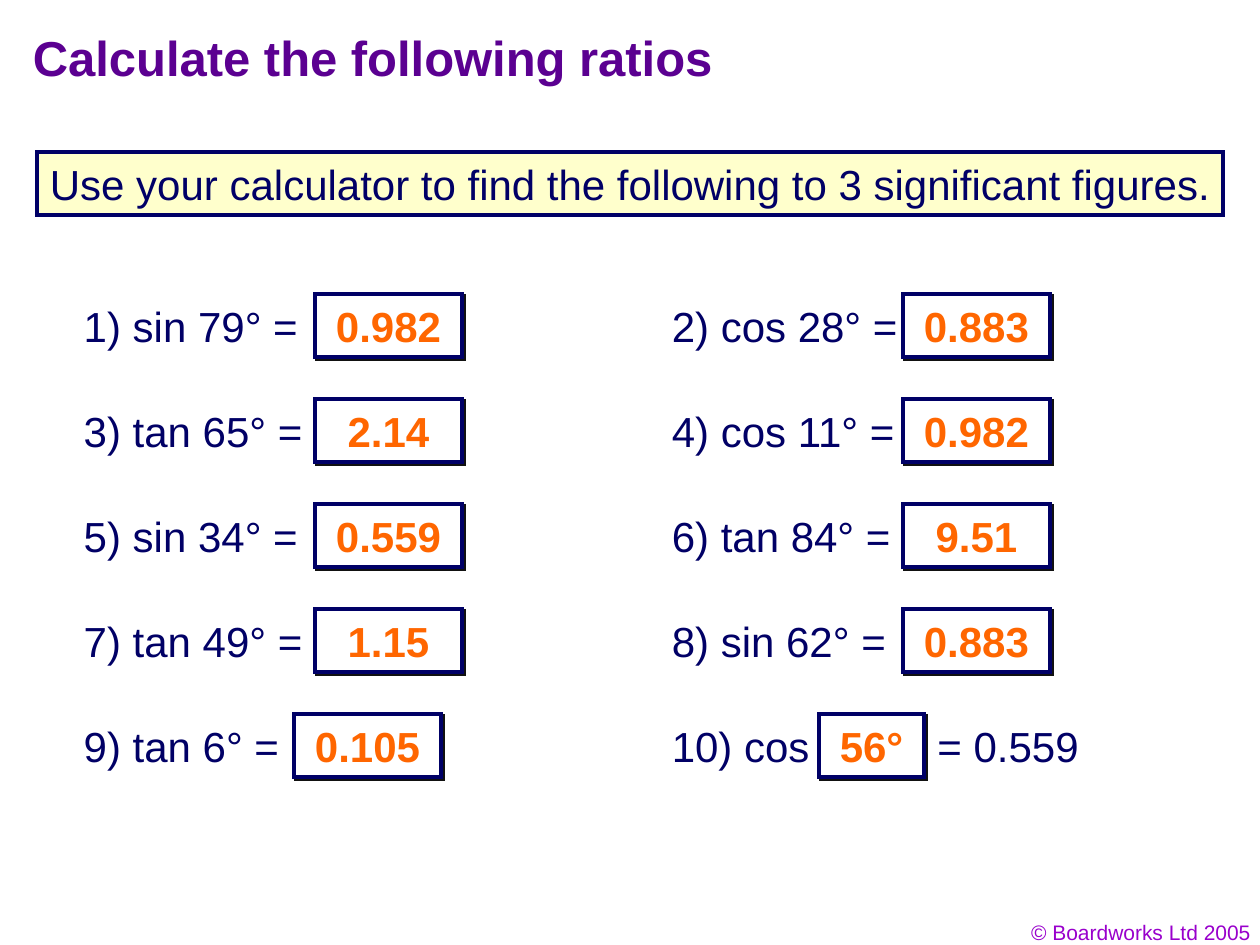
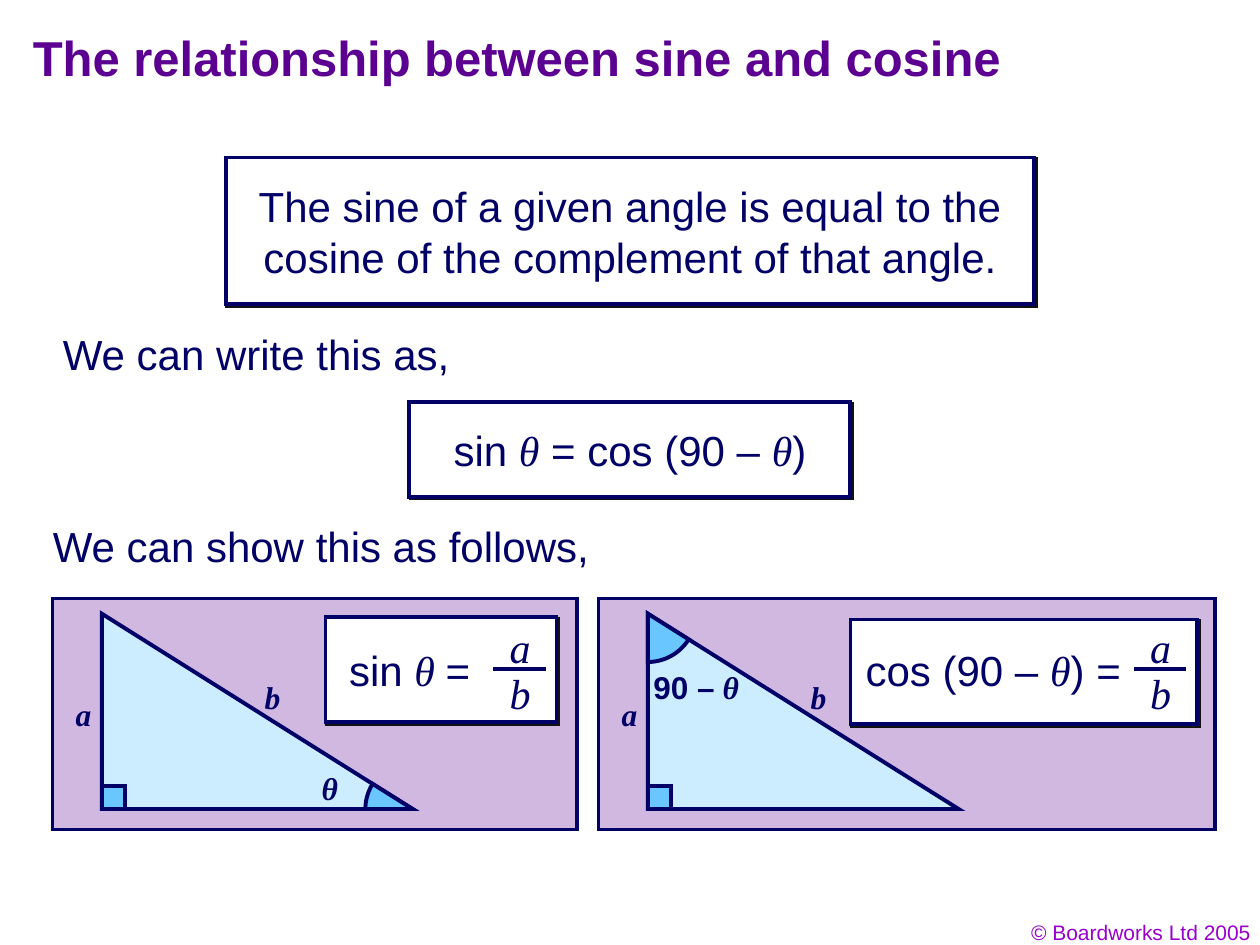
from math import atan2, cos, degrees, radians, sin

from lxml.etree import SubElement
from pptx import Presentation
from pptx.dml.color import RGBColor
from pptx.enum.shapes import MSO_CONNECTOR, MSO_SHAPE
from pptx.enum.text import MSO_ANCHOR, PP_ALIGN
from pptx.oxml.ns import qn
from pptx.util import Inches, Pt

# Shared look
NAVY = RGBColor(0x00, 0x00, 0x66)
INK = RGBColor(0x01, 0x00, 0x66)
PURPLE = RGBColor(0x5B, 0x00, 0x91)
VIOLET = RGBColor(0x99, 0x00, 0xCC)
ORANGE = RGBColor(0xFF, 0x66, 0x00)
WHITE = RGBColor(0xFF, 0xFF, 0xFF)
CREAM = RGBColor(0xFF, 0xFF, 0xCC)
LILAC = RGBColor(0xD0, 0xB8, 0xE0)
PALE_BLUE = RGBColor(0xCC, 0xEC, 0xFF)
SKY = RGBColor(0x69, 0xC6, 0xFF)
SANS, SERIF = "Arial", "Times New Roman"
LINE = Pt(2.25)

# Grid of 120 columns by 90 rows, twelve cells to the inch
COLS, ROWS = 120, 90
CELL = Inches(10) // COLS
TEXT_H = 6  # rows of a one-line text

# Problems in reading order, two to a row
PROBLEMS = [
    ("1) sin 79° =", "0.982"), ("2) cos 28° =", "0.883"),
    ("3) tan 65° =", "2.14"), ("4) cos 11° =", "0.982"),
    ("5) sin 34° =", "0.559"), ("6) tan 84° =", "9.51"),
    ("7) tan 49° =", "1.15"), ("8) sin 62° =", "0.883"),
    ("9) tan 6° =", "0.105"), ("10) cos", "56°"),
]


def cells(*values):
    return [round(v * CELL) for v in values]


def write(tf, content, size=24, color=INK, bold=False, align=PP_ALIGN.LEFT,
          wrap=True):
    """Fill a text frame; parts between asterisks are italic symbols."""
    tf.word_wrap = wrap
    tf.vertical_anchor = MSO_ANCHOR.MIDDLE
    p = tf.paragraphs[0]
    p.alignment = align
    for i, part in enumerate(content.split("*")):
        if part:
            symbol = i % 2 == 1
            r = p.add_run()
            r.text = part
            r.font.name = SERIF if symbol else SANS
            r.font.italic = symbol
            r.font.size = Pt(size)
            r.font.bold = bold
            r.font.color.rgb = color


def add_text(slide, content, x, y, w, h=TEXT_H, **fmt):
    write(slide.shapes.add_textbox(*cells(x, y, w, h)).text_frame, content, **fmt)


def add_label(slide, content, x, y, w, h=TEXT_H, **fmt):
    add_text(slide, content, x, y, w, h, align=PP_ALIGN.CENTER, wrap=False, **fmt)


def paint(sp, fill, shadow=False):
    sp.fill.solid()
    sp.fill.fore_color.rgb = fill
    sp.line.color.rgb = NAVY
    sp.line.width = LINE
    sp_pr = sp._element.spPr
    SubElement(sp_pr.find(qn("a:ln")), qn("a:miter"), lim="800000")
    sp.shadow.inherit = False
    if shadow:
        outer = SubElement(sp_pr.find(qn("a:effectLst")), qn("a:outerShdw"),
                           dist=str(Pt(1.4)), dir="2700000", algn="ctr",
                           rotWithShape="0")
        SubElement(outer, qn("a:srgbClr"), val="111111")


def add_box(slide, x, y, w, h, fill=WHITE, shadow=False,
            shape=MSO_SHAPE.RECTANGLE, content="", **fmt):
    sp = slide.shapes.add_shape(shape, *cells(x, y, w, h))
    paint(sp, fill, shadow)
    if content:
        write(sp.text_frame, content, align=PP_ALIGN.CENTER, **fmt)


def add_sector(slide, x, y, radius, start, end, steps=16):
    """Angle mark with its corner at x, y; degrees run clockwise from east."""
    arc = []
    for i in range(steps + 1):
        a = radians(start + (end - start) * i / steps)
        arc.append(cells(x + radius * cos(a), y + radius * sin(a)))
    builder = slide.shapes.build_freeform(*cells(x, y))
    builder.add_line_segments(arc, close=True)
    paint(builder.convert_to_shape(), SKY)


def add_fraction(slide, top, bottom, x):
    add_label(slide, f"*{top}*", x + 0.35, 58.6, 4.3)
    bar = slide.shapes.add_connector(MSO_CONNECTOR.STRAIGHT,
                                     *cells(x, 63.7, x + 5, 63.7))
    bar.line.color.rgb = NAVY
    bar.line.width = LINE
    SubElement(bar._element.spPr, qn("a:effectLst"))
    add_label(slide, f"*{bottom}*", x + 0.35, 63, 4.3)


def add_slide(prs, title):
    slide = prs.slides.add_slide(prs.slide_layouts[6])
    add_text(slide, "© Boardworks Ltd 2005", 92.3, 87, 28, 3.6, size=12,
             color=VIOLET, align=PP_ALIGN.RIGHT)
    add_text(slide, title, 1.95, 1.4, 102, 8, size=28, color=PURPLE, bold=True)
    return slide


def add_problem(slide, index, question, answer):
    row, col = divmod(index, 2)
    x, y = 6.8 + 56 * col, 28 + 10 * row
    # Answers line up, except in the last row
    box_x, box_w = {8: (28, 14), 9: (78, 10)}.get(index, (30 + 56 * col, 14))
    add_text(slide, question, x, y, 24)
    add_box(slide, box_x, y, box_w, TEXT_H, shadow=True, content=answer,
            color=ORANGE, bold=True, wrap=False)
    if index == 9:
        add_text(slide, "= 0.559", box_x + box_w + 0.1, y, 17)


def add_triangle_panel(slide, x, w, angle_at_top, result, result_box, bar_x):
    add_box(slide, x, 57, w, 22, fill=LILAC)

    # Right-angled triangle with its angle marks
    left, top, base, height = x + 4.7, 58.45, 29.6, 18.6
    slope = degrees(atan2(height, base))
    add_box(slide, left, top, base, height, fill=PALE_BLUE,
            shape=MSO_SHAPE.RIGHT_TRIANGLE)
    if angle_at_top:
        add_sector(slide, left, top, 4.6, 90, slope)
    else:
        add_sector(slide, left + base, top + height, 4.5, 180, 180 + slope)
    add_box(slide, left, top + height - 2.2, 2.2, 2.2, fill=SKY)

    # Labels
    small = dict(h=4.8, size=18, bold=True)
    add_label(slide, "*a*", x + 1, 65.6, 3.9, **small)
    add_label(slide, "*b*", x + 19, 64, 3.9, **small)
    if angle_at_top:
        add_label(slide, "90 –* θ*", x + 3.5, 63, 11.6, **small)
    else:
        add_label(slide, "*θ*", x + 24.4, 72.6, 4, **small)

    # Resulting ratio
    box_x, box_y, box_w, text_x, text_w = result_box
    add_box(slide, box_x, box_y, box_w, 10, shadow=True)
    add_label(slide, result, text_x, 60.75, text_w)
    add_fraction(slide, "a", "b", bar_x)


def build_ratios(prs):
    slide = add_slide(prs, "Calculate the following ratios")
    add_box(slide, 3.55, 14.5, 112.9, TEXT_H, fill=CREAM, wrap=False,
            content="Use your calculator to find the following to "
                    "3 significant figures.")
    for index, (question, answer) in enumerate(PROBLEMS):
        add_problem(slide, index, question, answer)


def build_relationship(prs):
    slide = add_slide(prs, "The relationship between sine and cosine")
    add_box(slide, 21.5, 15, 77, 14, shadow=True,
            content="The sine of a given angle is equal to the "
                    "cosine of the complement of that angle.")
    add_text(slide, "We can write this as,", 4.8, 30.7, 40)
    add_box(slide, 39, 38.3, 42, 9, shadow=True, wrap=False,
            content="sin *θ* = cos (90 – *θ*)")
    add_text(slide, "We can show this as follows,", 3.85, 49, 54)
    add_triangle_panel(slide, 5, 50, False, "sin *θ *=",
                       (31, 58.8, 22, 31.5, 15), 47)
    add_triangle_panel(slide, 57, 58.7, True, "cos (90 – *θ*) =",
                       (81, 59, 33, 80.1, 29), 108)


def main():
    prs = Presentation()
    prs.slide_width, prs.slide_height = cells(COLS, ROWS)
    build_ratios(prs)
    build_relationship(prs)
    prs.save("out.pptx")


if __name__ == "__main__":
    main()
